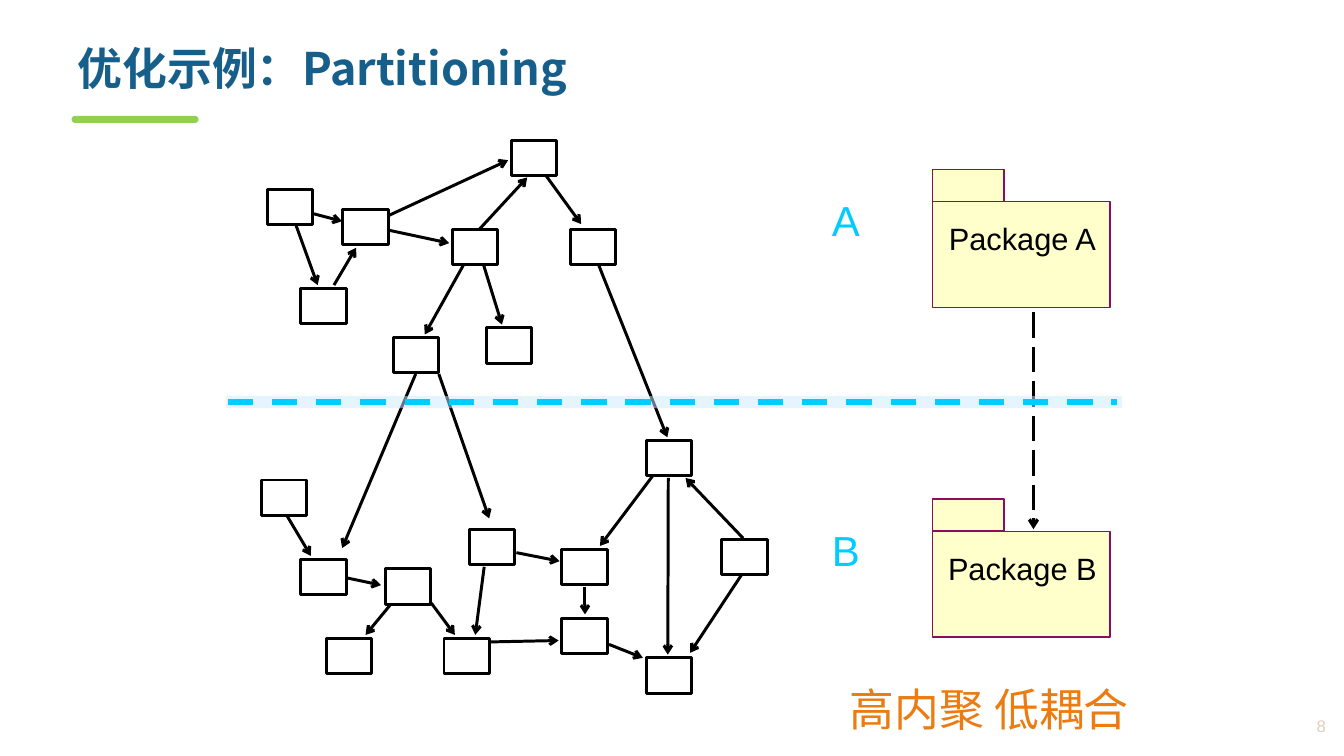
"""Build the partitioning slide: a graph cut into two packages."""
from lxml import etree
from pptx import Presentation
from pptx.dml.color import RGBColor
from pptx.enum.dml import MSO_LINE
from pptx.enum.shapes import MSO_CONNECTOR, MSO_SHAPE
from pptx.enum.text import MSO_ANCHOR, MSO_AUTO_SIZE, PP_ALIGN
from pptx.oxml.ns import qn
from pptx.util import Inches, Pt

RECT, PILL = MSO_SHAPE.RECTANGLE, MSO_SHAPE.ROUNDED_RECTANGLE
LINE = MSO_CONNECTOR.STRAIGHT
DASH, LONG = MSO_LINE.DASH, MSO_LINE.LONG_DASH
TOP, MID = MSO_ANCHOR.TOP, MSO_ANCHOR.MIDDLE
LEFT, MIDDLE, RIGHT = PP_ALIGN.LEFT, PP_ALIGN.CENTER, PP_ALIGN.RIGHT
FIXED = MSO_AUTO_SIZE.NONE
SANS, HAN = "Arial", "Noto Sans CJK SC"
COLORS = {
    "ink": "000000", "title": "175F8B", "bar": "92D050", "cut": "00CCFF",
    "band": "CCECFF", "paper": "FFFFCC", "edge": "8A0E5E",
    "motto": "EB7C11", "page": "E0CFBD",
}
RGB = {name: RGBColor.from_string(code) for name, code in COLORS.items()}

deck = Presentation()
deck.slide_width, deck.slide_height = Inches(13.33), Inches(7.5)
slide = deck.slides.add_slide(deck.slide_layouts[5])
shapes = slide.shapes


def write(frame, text, size, color, font, align=LEFT, pad=0, bold=False):
    """Put one formatted run into a text frame."""
    frame.margin_left = frame.margin_right = Inches(pad)
    frame.margin_top = frame.margin_bottom = Inches(pad / 2)
    frame.auto_size = FIXED
    para = frame.paragraphs[0]
    para.alignment = align
    run = para.add_run()
    run.text = text
    face = run.font
    face.name, face.size, face.bold = font, Pt(size), bold
    face.color.rgb = RGB[color]
    etree.SubElement(face._element, qn("a:ea"), typeface=font)
    return para


def link(start, end, color="ink", width=2.13, dash=None, arrow=True):
    """Draw a line, with an arrowhead at its end if wanted."""
    wire = shapes.add_connector(LINE, *map(Inches, start + end))
    wire.line.color.rgb, wire.line.width = RGB[color], Pt(width)
    if dash:
        wire.line.dash_style = dash
    if arrow:
        etree.SubElement(wire.line._get_or_add_ln(), qn("a:tailEnd"), type="arrow")
    etree.SubElement(wire._element.spPr, qn("a:effectLst"))


title = shapes.title
title.left, title.top, title.width, title.height = map(Inches, (0.67, 0.41, 12.27, 0.75))
title.text_frame.vertical_anchor = TOP
title.text_frame.word_wrap = True
head = write(title.text_frame, "优化示例：Partitioning", 32, "title", HAN, pad=0.1, bold=True)
head.line_spacing = 0.9

bar = shapes.add_shape(PILL, *map(Inches, (0.71, 1.15, 1.26, 0.07)))
bar.adjustments[0] = 0.5
bar.fill.solid()
bar.fill.fore_color.rgb = RGB["bar"]
bar.line.fill.background()
bar.shadow.inherit = False

COL, ROW = 0.0835, 0.098
WIDE, HIGH = 0.45, 0.35
WEST = 2.65
HALVES = [
    (1.39, {"a": (0, 5), "b": (4, 15), "c": (9, 7), "d": (29, 0), "e": (26, 19),
            "f": (22, 9), "g": (15, 20), "h": (36, 9)}),
    (4.37, {"i": (-0.7, 4), "j": (4, 12), "k": (7, 20), "l": (14, 13), "m": (24, 9),
            "n": (54, 10), "o": (45, 0), "p": (35, 11), "q": (21, 20), "r": (35, 18),
            "s": (45, 22)}),
]
spots = {}
for north, nodes in HALVES:
    for name, (col, row) in nodes.items():
        spots[name] = x, y = WEST + col * COL, north + row * ROW
        node = shapes.add_shape(RECT, *map(Inches, (x, y, WIDE, HIGH)))
        node.fill.background()
        node.line.color.rgb, node.line.width = RGB["ink"], Pt(2.13)
        node.shadow.inherit = False

EDGES = [
    ("ab", (0.64, 1.03), (0.37, -0.09)), ("ac", (1.03, 0.69), (-0.02, 0.34)),
    ("bc", (0.73, -0.09), (0.29, 1.09)), ("cd", (1.02, 0.17), (-0.07, 0.57)),
    ("cf", (1.03, 0.6), (-0.07, 0.4)), ("fd", (0.6, 0), (0.35, 1.06)),
    ("fe", (0.69, 1.03), (0.35, -0.09)), ("fg", (0.24, 1.03), (0.69, -0.09)),
    ("dh", (0.76, 1), (0.24, -0.14)), ("gj", (0.49, 1.03), (0.91, -0.31)),
    ("gm", (1, 1.03), (0.44, -0.31)), ("ho", (0.62, 1), (0.47, -0.09)),
    ("ij", (0.56, 1), (0.22, -0.09)), ("jl", (1.03, 0.54), (-0.09, 0.46)),
    ("lk", (0.11, 1.03), (0.87, -0.09)), ("lq", (1.02, 0.97), (0.24, -0.09)),
    ("mp", (1.04, 0.66), (-0.05, 0.34)), ("mq", (0.33, 1.06), (0.69, -0.09)),
    ("qr", (1.04, 0.11), (-0.07, 0.63)), ("pr", (0.51, 1.06), (0.51, -0.11)),
    ("rs", (1.04, 0.74), (-0.07, 0)), ("op", (0.15, 1), (0.84, -0.09)),
    ("os", (0.49, 1.06), (0.48, -0.09)), ("no", (0.47, -0.03), (0.87, 1.06)),
    ("ns", (0.44, 1), (0.97, -0.14)),
]
for pair, *shares in EDGES:
    start, end = [
        (spots[name][0] + across * WIDE, spots[name][1] + down * HIGH)
        for name, (across, down) in zip(pair, shares)
    ]
    link(start, end)

LABELS = []
for mark, top in (("A", 2), ("B", 5.27)):
    for box in ((9.25, top, 1.76, 1.05), (9.25, top - 0.32, 0.71, 0.32)):
        part = shapes.add_shape(RECT, *map(Inches, box))
        part.fill.solid()
        part.fill.fore_color.rgb = RGB["paper"]
        part.line.color.rgb, part.line.width = RGB["edge"], Pt(1)
        part.shadow.inherit = False
    LABELS += [
        ((8.25, top - 0.07, 0.28, 0.5), mark, 30, "cut", SANS, LEFT, 0),
        ((9.4, top + 0.18, 1.48, 0.37), f"Package {mark}", 22, "ink", SANS, MIDDLE, 0),
    ]
link((10.25, 3.1), (10.25, 5.25), width=2.25, dash=LONG)

band = shapes.add_shape(RECT, *map(Inches, (2.24, 3.93, 8.89, 0.12)))
band.fill.solid()
band.fill.fore_color.rgb = RGB["band"]
tint = band._element.spPr.find(qn("a:solidFill"))[0]
etree.SubElement(tint, qn("a:alpha"), val="50000")
band.line.fill.background()
band.shadow.inherit = False
link((2.26, 3.99), (11.08, 3.99), "cut", 4.5, DASH, arrow=False)

LABELS += [
    ((8.33, 6.71, 3, 0.64), "高内聚 低耦合", 32, "motto", HAN, LEFT, 0.1),
    ((12.12, 7.01, 1.13, 0.38), "8", 12, "page", SANS, RIGHT, 0.1),
]
for box, *style in LABELS:
    frame = shapes.add_textbox(*map(Inches, box)).text_frame
    frame.word_wrap = False
    frame.vertical_anchor = MID if style[0] == "8" else TOP
    write(frame, *style)

deck.save("out.pptx")
